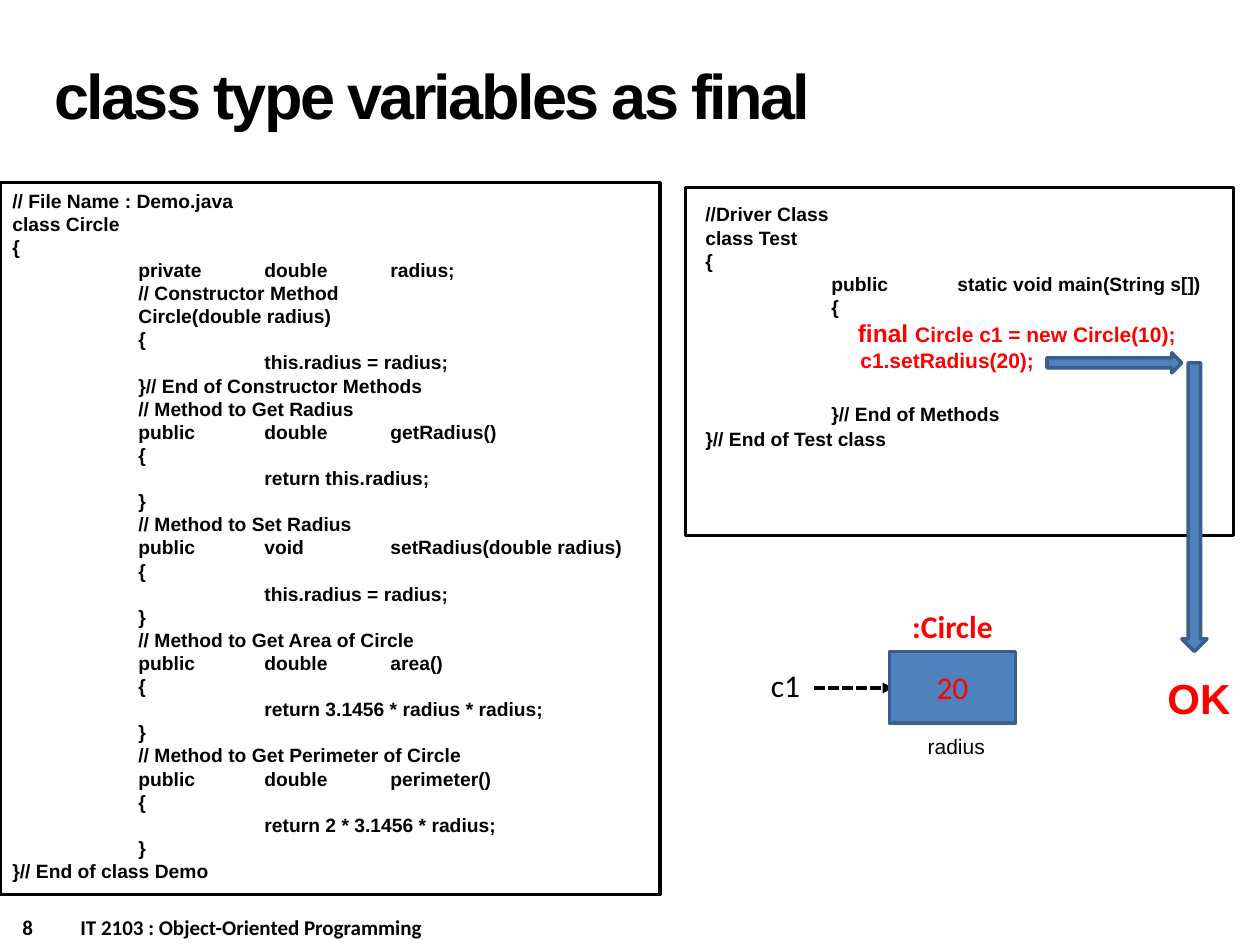
"""Build the slide on class type variables declared as final."""
from dataclasses import dataclass

from lxml.etree import SubElement
from pptx import Presentation
from pptx.dml.color import RGBColor
from pptx.enum.dml import MSO_LINE_DASH_STYLE as Dash
from pptx.enum.shapes import MSO_CONNECTOR as Connector, MSO_SHAPE as Preset
from pptx.enum.text import MSO_ANCHOR as Anchor, PP_ALIGN as Align
from pptx.oxml.ns import qn
from pptx.util import Inches, Pt


@dataclass(frozen=True)
class Theme:
    black: RGBColor = RGBColor(0, 0, 0)
    red: RGBColor = RGBColor(0xFF, 0, 0)
    blue: RGBColor = RGBColor(0x4F, 0x81, 0xBD)
    outline: RGBColor = RGBColor(0x3A, 0x5F, 0x8C)
    code_font: str = "Arial"
    label_font: str = "Calibri"
    title: int = 36
    verdict: int = 24
    label: int = 18
    keyword: int = 14
    small: int = 12
    code: int = 11
    stroke: int = 2


THEME = Theme()


@dataclass(frozen=True)
class Box:
    left: float
    top: float
    width: float
    height: float

    def lengths(self) -> tuple:
        return tuple(map(Inches, (self.left, self.top, self.width, self.height)))


@dataclass(frozen=True)
class Span:
    text: str
    size: int = THEME.code
    color: RGBColor = THEME.black
    font: str = THEME.code_font
    bold: bool = True


@dataclass(frozen=True)
class Line:
    spans: tuple[Span, ...]
    indent: float = 0
    before: int = 0
    align: Align = Align.LEFT
    tabs: tuple[float, ...] = ()


@dataclass(frozen=True)
class Label:
    box: Box
    span: Span
    align: Align = Align.CENTER
    wrap: bool = False


@dataclass(frozen=True)
class Block:
    preset: Preset
    box: Box
    filled: bool = True


CODE_TABS = (1, 2, 3)

CIRCLE_CODE = """// File Name : Demo.java
class Circle
{
\tprivate\tdouble\tradius;
\t// Constructor Method
\tCircle(double radius)
\t{
\t\tthis.radius = radius;
\t}// End of Constructor Methods
\t// Method to Get Radius
\tpublic\tdouble\tgetRadius()
\t{
\t\treturn this.radius;
\t}
\t// Method to Set Radius
\tpublic\tvoid\tsetRadius(double radius)
\t{
\t\tthis.radius = radius;
\t}
\t// Method to Get Area of Circle
\tpublic\tdouble\tarea()
\t{
\t\treturn 3.1456 * radius * radius;
\t}
\t// Method to Get Perimeter of Circle
\tpublic\tdouble\tperimeter()
\t{
\t\treturn 2 * 3.1456 * radius;
\t}
}// End of class Demo"""

DRIVER_CODE = """//Driver Class
class Test
{
\tpublic\tstatic void main(String s[])
\t{"""

FINAL_LINES = [
    Line((Span("final ", THEME.keyword, THEME.red),
          Span("Circle c1 = new Circle(10);", THEME.small, THEME.red)), 1.21),
    Line((Span("c1.setRadius(20);", THEME.small, THEME.red),), 1.23),
    Line((Span("\t", THEME.keyword), Span("}// End of Methods")), before=14, tabs=CODE_TABS),
    Line((Span("}// End of Test class"),)),
]

BLOCKS = [
    Block(Preset.RECTANGLE, Box(0, 1.45, 5.24, 5.65), False),
    Block(Preset.RECTANGLE, Box(5.44, 1.49, 4.35, 2.76), False),
    Block(Preset.RIGHT_ARROW, Box(8.31, 2.8, 1.07, 0.16)),
    Block(Preset.DOWN_ARROW, Box(9.38, 2.88, 0.2, 2.29)),
]
OBJECT_BLOCK = Block(Preset.RECTANGLE, Box(7.06, 5.17, 1, 0.57))

LABELS = [
    Label(Box(6.02, 5.24, 0.44, 0.4),
          Span("c1", THEME.label, font=THEME.label_font, bold=False), Align.LEFT),
    Label(Box(7.06, 4.77, 1, 0.4),
          Span(":Circle", THEME.label, THEME.red, THEME.label_font), wrap=True),
    Label(Box(7.26, 5.77, 0.66, 0.3), Span("radius", THEME.small, bold=False)),
    Label(Box(9.16, 5.29, 0.71, 0.5), Span("OK", THEME.verdict, THEME.red)),
]


def code_lines(code: str) -> list[Line]:
    return [Line((Span(text),), tabs=CODE_TABS) for text in code.split("\n")]


def write_lines(frame, lines: list[Line]) -> None:
    for index, line in enumerate(lines):
        paragraph = frame.add_paragraph() if index else frame.paragraphs[0]
        paragraph.alignment = line.align
        paragraph.space_before = Pt(line.before)
        properties = paragraph._p.get_or_add_pPr()
        if line.indent:
            properties.set("marL", str(Inches(line.indent)))
            properties.set("indent", "0")
        if line.tabs:
            stops = SubElement(properties, qn("a:tabLst"))
            for position in line.tabs:
                SubElement(stops, qn("a:tab"), pos=str(Inches(position)), algn="l")
        for span in line.spans:
            run = paragraph.add_run()
            run.text = span.text
            run.font.name, run.font.size = span.font, Pt(span.size)
            run.font.bold = span.bold
            run.font.color.rgb = span.color


def add_text(slide, box: Box, lines: list[Line], wrap: bool = True) -> None:
    frame = slide.shapes.add_textbox(*box.lengths()).text_frame
    frame.word_wrap = wrap
    write_lines(frame, lines)


def add_block(slide, block: Block):
    shape = slide.shapes.add_shape(block.preset, *block.box.lengths())
    shape.shadow.inherit = False
    shape.line.width = Pt(THEME.stroke)
    shape.line.color.rgb = THEME.outline if block.filled else THEME.black
    if block.filled:
        shape.fill.solid()
        shape.fill.fore_color.rgb = THEME.blue
    else:
        shape.fill.background()
    return shape


def add_reference(slide, left: float, right: float, top: float) -> None:
    ends = map(Inches, (left, top, right, top))
    connector = slide.shapes.add_connector(Connector.STRAIGHT, *ends)
    connector.line.color.rgb = THEME.black
    connector.line.width = Pt(THEME.stroke)
    connector.line.dash_style = Dash.SQUARE_DOT
    SubElement(connector.line._get_or_add_ln(), qn("a:tailEnd"), type="triangle")
    SubElement(connector._element.spPr, qn("a:effectLst"))


def add_title(slide, text: str) -> None:
    title = slide.shapes.title
    title.left, title.top, title.width, title.height = Box(0.33, 0.17, 6.92, 1.25).lengths()
    title.text_frame.vertical_anchor = Anchor.MIDDLE
    write_lines(title.text_frame, [Line((Span(text, THEME.title),))])
    paragraph = title.text_frame.paragraphs[0]
    paragraph.line_spacing = Pt(THEME.title)
    paragraph.runs[0].font._element.set("spc", "-150")


def add_footer(slide, number: str, course: str) -> None:
    span = Span(f"{number}\t{course}", THEME.small, font=THEME.label_font)
    add_text(slide, Box(0.08, 7.21, 5, 0.3), [Line((span,), tabs=(0.46,))])


def main() -> None:
    presentation = Presentation()
    presentation.slide_width, presentation.slide_height = Inches(10), Inches(7.5)
    slide = presentation.slides.add_slide(presentation.slide_layouts[5])
    add_footer(slide, "8", "IT 2103 : Object-Oriented Programming")
    add_title(slide, "class type variables as final")
    add_text(slide, Box(0, 1.45, 5.08, 5.65), code_lines(CIRCLE_CODE))
    add_text(slide, Box(5.5, 1.56, 4.29, 2.09), code_lines(DRIVER_CODE) + FINAL_LINES)
    add_reference(slide, 6.46, 7.09, 5.46)
    for block in BLOCKS:
        add_block(slide, block)
    value = Span("20", THEME.label, THEME.red, THEME.label_font, False)
    frame = add_block(slide, OBJECT_BLOCK).text_frame
    frame.vertical_anchor = Anchor.MIDDLE
    write_lines(frame, [Line((value,), align=Align.CENTER)])
    for label in LABELS:
        add_text(slide, label.box, [Line((label.span,), align=label.align)], label.wrap)
    presentation.save("out.pptx")


if __name__ == "__main__":
    main()
